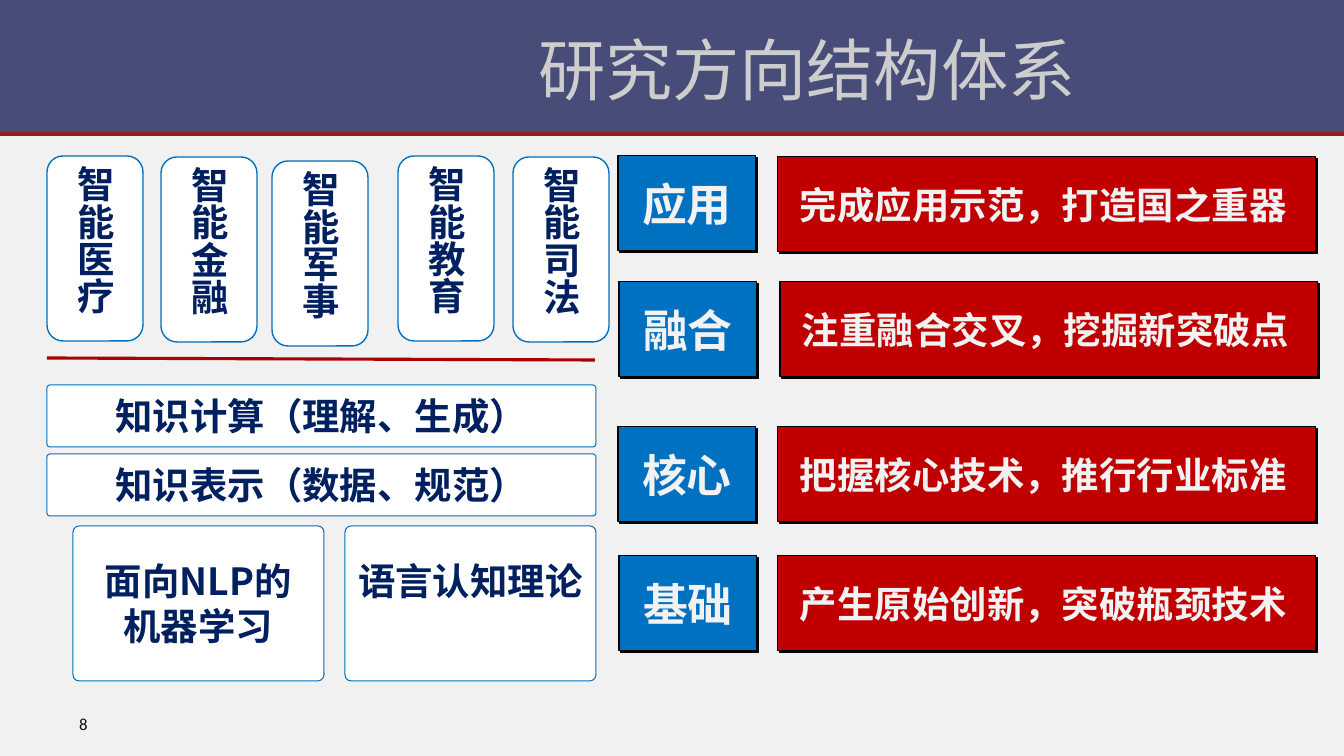
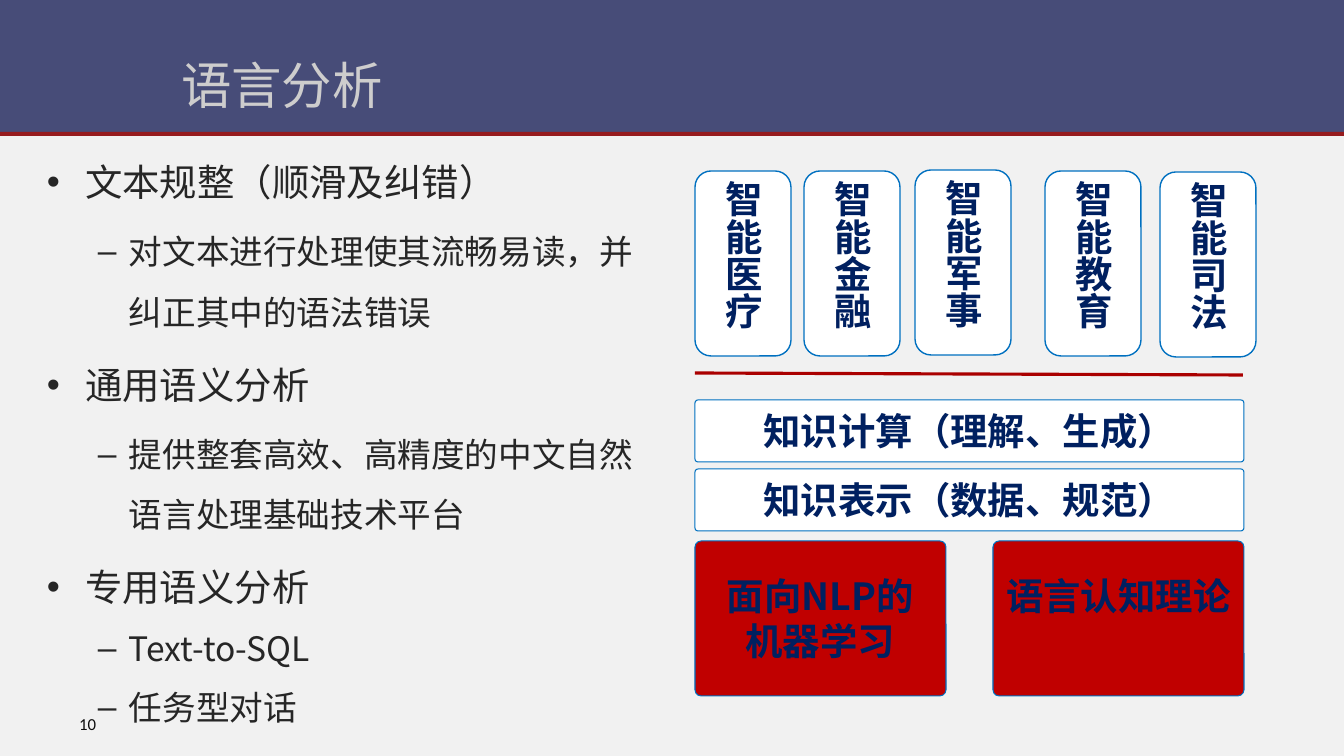
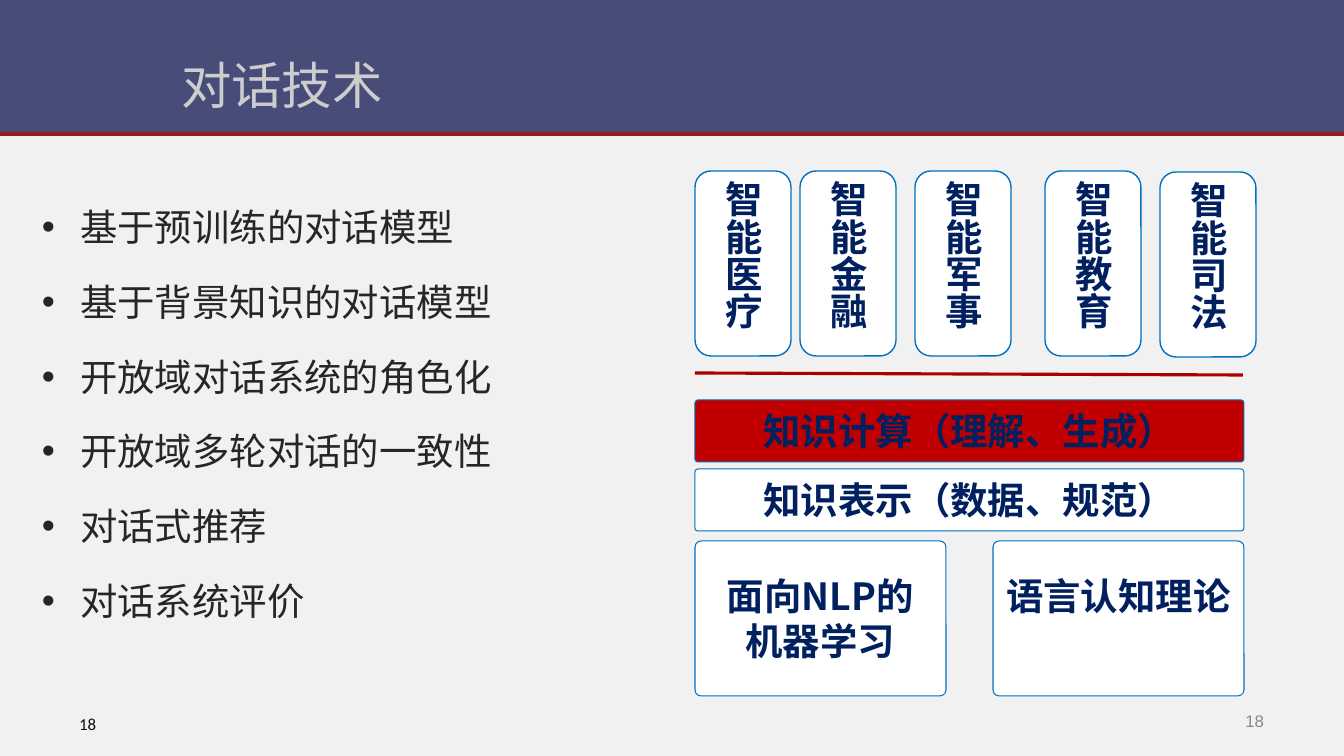
from dataclasses import dataclass

from lxml import etree
from pptx import Presentation
from pptx import util as u
from pptx.dml.color import RGBColor
from pptx.enum import shapes, text
from pptx.oxml import ns

# Shared look
WIDTH, HEIGHT = 1344, 756
EMU_PER_PX = 12192000 / WIDTH
CJK, CALIBRI, ARIAL = "Noto Sans CJK SC", "Calibri", "Arial"
PAPER = RGBColor(0xF1, 0xF1, 0xF1)
BAND = RGBColor(0x47, 0x4C, 0x78)
STRIPE = RGBColor(0x96, 0x1B, 0x1E)
TITLE = RGBColor(0xCE, 0xCD, 0xCD)
INK = RGBColor(0x26, 0x26, 0x26)
NUMBER = RGBColor(0x0D, 0x0D, 0x0D)
GREY = RGBColor(0x89, 0x89, 0x89)
WHITE = RGBColor(0xFF, 0xFF, 0xFF)
PALE = RGBColor(0xF2, 0xF2, 0xF2)
BLUE = RGBColor(0x00, 0x70, 0xC0)
NAVY = RGBColor(0x00, 0x20, 0x60)
RED = RGBColor(0xC0, 0x00, 0x00)
RULE = RGBColor(0xAA, 0x00, 0x00)
BLACK = RGBColor(0, 0, 0)

LEFT, CENTER, RIGHT = text.PP_ALIGN.LEFT, text.PP_ALIGN.CENTER, text.PP_ALIGN.RIGHT
TOP, MIDDLE = text.MSO_ANCHOR.TOP, text.MSO_ANCHOR.MIDDLE
RECT = shapes.MSO_SHAPE.RECTANGLE
ROUND = shapes.MSO_SHAPE.ROUNDED_RECTANGLE


@dataclass(frozen=True)
class Area:
    left: int
    top: int
    width: int
    height: int

    def emu(self) -> list:
        return [px(n) for n in (self.left, self.top, self.width, self.height)]


@dataclass(frozen=True)
class Style:
    size: float
    color: RGBColor
    bold: bool = False
    font: str = CJK
    align: text.PP_ALIGN = LEFT
    anchor: text.MSO_ANCHOR = MIDDLE
    wrap: bool = True
    insets: tuple = (10, 5, 10, 5)


@dataclass(frozen=True)
class Level:
    mark: str
    indent: int
    hang: int
    size: float
    space: float


@dataclass(frozen=True)
class Point:
    words: str
    level: int = 0
    spacing: float = 1.5


@dataclass(frozen=True)
class Diagram:
    left: int
    top: int
    card_lefts: tuple
    card_drops: tuple
    base_lefts: tuple = (0, 298)
    highlights: tuple = ()


@dataclass(frozen=True)
class Row:
    label: str
    statement: str
    label_left: int
    label_top: int
    left: int
    top: int


DIAGRAM_TEXT = Style(26.7, NAVY, bold=True, align=CENTER, wrap=False)
# The lower inset keeps one free line below the single-line text
RAISED_TEXT = Style(26.7, NAVY, bold=True, align=CENTER, wrap=False, insets=(10, 5, 10, 50))
LABEL_TEXT = Style(32, PALE, bold=True, align=CENTER, insets=(13, 7, 13, 7))
STATEMENT_TEXT = Style(26.7, PALE, bold=True, insets=(22, 7, 13, 7))
NUMBER_TEXT = Style(12, NUMBER, font=CALIBRI)
CORNER_TEXT = Style(12, GREY, font=ARIAL, align=RIGHT, insets=(13, 7, 13, 7))
BODY_TEXT = Style(26.7, INK, anchor=TOP)
LEVELS = (Level("•", 38, 38, 26.7, 5.3), Level("–", 82, 31, 24, 4.8))

CARDS = ("智能医疗", "智能金融", "智能军事", "智能教育", "智能司法")
BARS = ("知识计算（理解、生成）", "知识表示（数据、规范）")
BASES = (("面向NLP的\n机器学习", DIAGRAM_TEXT), ("语言认知理论", RAISED_TEXT))

ROWS = (
    Row("应用", "完成应用示范，打造国之重器", 618, 156, 778, 157),
    Row("融合", "注重融合交叉，挖掘新突破点", 619, 282, 780, 282),
    Row("核心", "把握核心技术，推行行业标准", 618, 427, 778, 427),
    Row("基础", "产生原始创新，突破瓶颈技术", 619, 556, 778, 556),
)
ANALYSIS = (
    Point("文本规整（顺滑及纠错）"),
    Point("对文本进行处理使其流畅易读，并纠正其中的语法错误", 1),
    Point("通用语义分析"),
    Point("提供整套高效、高精度的中文自然语言处理基础技术平台", 1),
    Point("专用语义分析"),
    Point("Text-to-SQL", 1, 1.3),
    Point("任务型对话", 1, 1.3),
)
DIALOGUE = tuple(Point(words) for words in (
    "基于预训练的对话模型", "基于背景知识的对话模型", "开放域对话系统的角色化",
    "开放域多轮对话的一致性", "对话式推荐", "对话系统评价"))


def px(length: int) -> int:
    return round(length * EMU_PER_PX)


def assign(target, values: dict) -> None:
    for name, value in values.items():
        setattr(target, name, value)


def add_xml(parent, tag: str, **attributes: str):
    return etree.SubElement(parent, ns.qn(tag), attributes)


# Text
def set_frame(frame, style: Style) -> None:
    sides = ("margin_left", "margin_top", "margin_right", "margin_bottom")
    assign(frame, {"word_wrap": style.wrap, "vertical_anchor": style.anchor,
                   **dict(zip(sides, map(px, style.insets)))})


def add_span(para, words: str, style: Style, size: float) -> None:
    span = para.add_run()
    span.text = words
    assign(span.font, {"name": style.font, "size": u.Pt(size), "bold": style.bold})
    span.font.color.rgb = style.color
    add_xml(span.font._element, "a:ea", typeface=style.font)


def write(frame, words: str, style: Style) -> None:
    set_frame(frame, style)
    for index, line in enumerate(words.split("\n")):
        para = frame.add_paragraph() if index else frame.paragraphs[0]
        para.alignment = style.align
        add_span(para, line, style, style.size)


def add_text(page, area: Area, words: str, style: Style) -> None:
    write(page.shapes.add_textbox(*area.emu()).text_frame, words, style)


def add_points(page, area: Area, points: tuple) -> None:
    frame = page.shapes.add_textbox(*area.emu()).text_frame
    set_frame(frame, BODY_TEXT)
    for index, point in enumerate(points):
        level = LEVELS[point.level]
        para = frame.add_paragraph() if index else frame.paragraphs[0]
        assign(para, {"level": point.level, "line_spacing": point.spacing,
                      "space_before": u.Pt(level.space if index else 0)})
        properties = para._p.get_or_add_pPr()
        properties.set("marL", str(px(level.indent)))
        properties.set("indent", str(-px(level.hang)))
        add_xml(properties, "a:buFont", typeface=ARIAL)
        add_xml(properties, "a:buChar", char=level.mark)
        add_span(para, point.words, BODY_TEXT, level.size)


# Shapes
def add_box(page, kind, area: Area, fill: RGBColor, line: RGBColor | None = None,
            weight: float = 0.75, radius: float | None = None):
    box = page.shapes.add_shape(kind, *area.emu())
    box.shadow.inherit = False
    box.fill.solid()
    box.fill.fore_color.rgb = fill
    if line is None:
        box.line.fill.background()
    else:
        box.line.color.rgb = line
        box.line.width = u.Pt(weight)
    if radius is not None:
        box.adjustments[0] = radius
    return box


def add_plate(page, area: Area, fill: RGBColor, words: str, style: Style) -> None:
    """Draw a rectangle with a hard black shadow."""
    box = add_box(page, RECT, area, fill, BLACK)
    effects = box._element.spPr.find(ns.qn("a:effectLst"))
    shadow = add_xml(effects, "a:outerShdw", blurRad="0", dist=str(u.Pt(1.4)),
                     dir="2700000", algn="ctr", rotWithShape="0")
    add_xml(shadow, "a:srgbClr", val=str(BLACK))
    write(box.text_frame, words, style)


def add_rule(page, left: int, top: int, right: int, bottom: int) -> None:
    rule = page.shapes.add_connector(
        shapes.MSO_CONNECTOR.STRAIGHT, px(left), px(top), px(right), px(bottom))
    rule.line.color.rgb = RULE
    rule.line.width = u.Pt(2.25)
    add_xml(rule._element.spPr, "a:effectLst")


def add_diagram(page, plan: Diagram) -> None:
    def fill(words: str) -> RGBColor:
        return RED if words in plan.highlights else WHITE

    # Vertical application cards
    for words, left, drop in zip(CARDS, plan.card_lefts, plan.card_drops):
        area = Area(plan.left + left, plan.top + drop, 96, 185)
        card = add_box(page, ROUND, area, WHITE, BLUE, 1)
        write(card.text_frame, words, DIAGRAM_TEXT)
        card.text_frame._txBody.bodyPr.set("vert", "eaVert")
    add_rule(page, plan.left, plan.top + 202, plan.left + 548, plan.top + 204)
    # Knowledge bars
    for index, words in enumerate(BARS):
        area = Area(plan.left, plan.top + 229 + 69 * index, 549, 62)
        bar = add_box(page, ROUND, area, fill(words), BLUE, radius=0.05)
        write(bar.text_frame, words, DIAGRAM_TEXT)
    # Foundations
    for (words, style), left in zip(BASES, plan.base_lefts):
        area = Area(plan.left + left, plan.top + 370, 251, 155)
        base = add_box(page, ROUND, area, fill(words), BLUE, radius=0.04)
        write(base.text_frame, words, style)


# Pages
def add_page(deck, title: str, number: str, title_area: Area = Area(171, 21, 1157, 126),
             title_style: Style = Style(36, TITLE)):
    page = deck.slides.add_slide(deck.slide_layouts[6])
    add_box(page, RECT, Area(0, 0, WIDTH, 132), BAND)
    add_box(page, RECT, Area(0, 132, WIDTH, 4), STRIPE)
    add_text(page, title_area, title, title_style)
    add_text(page, Area(69, 704, 313, 40), number, NUMBER_TEXT)
    return page


def main() -> None:
    deck = Presentation()
    deck.slide_width, deck.slide_height = px(WIDTH), px(HEIGHT)
    background = deck.slide_master.background.fill
    background.solid()
    background.fore_color.rgb = PAPER

    # Research structure
    page = add_page(deck, "研究方向结构体系", "8", Area(528, 23, 563, 92),
                    Style(48, TITLE, wrap=False))
    add_diagram(page, Diagram(47, 156, (0, 114, 225, 351, 466), (0, 1, 5, 0, 1), (26, 298)))
    for row in ROWS:
        add_plate(page, Area(row.label_left, row.label_top, 138, 95), BLUE,
                  row.label, LABEL_TEXT)
        add_plate(page, Area(row.left, row.top, 538, 95), RED,
                  row.statement, STATEMENT_TEXT)

    # Language analysis
    page = add_page(deck, "语言分析", "10")
    add_points(page, Area(37, 132, 607, 512), ANALYSIS)
    add_diagram(page, Diagram(695, 171, (0, 109, 220, 350, 465), (0, 0, -1, 0, 1),
                              highlights=tuple(words for words, _ in BASES)))

    # Dialogue technology
    page = add_page(deck, "对话技术", "18")
    add_points(page, Area(32, 177, 655, 512), DIALOGUE)
    add_diagram(page, Diagram(695, 171, (0, 105, 220, 350, 465), (0, 0, 0, 0, 1),
                              highlights=BARS[:1]))
    add_text(page, Area(964, 701, 313, 40), "18", CORNER_TEXT)

    deck.save("out.pptx")


if __name__ == "__main__":
    main()
